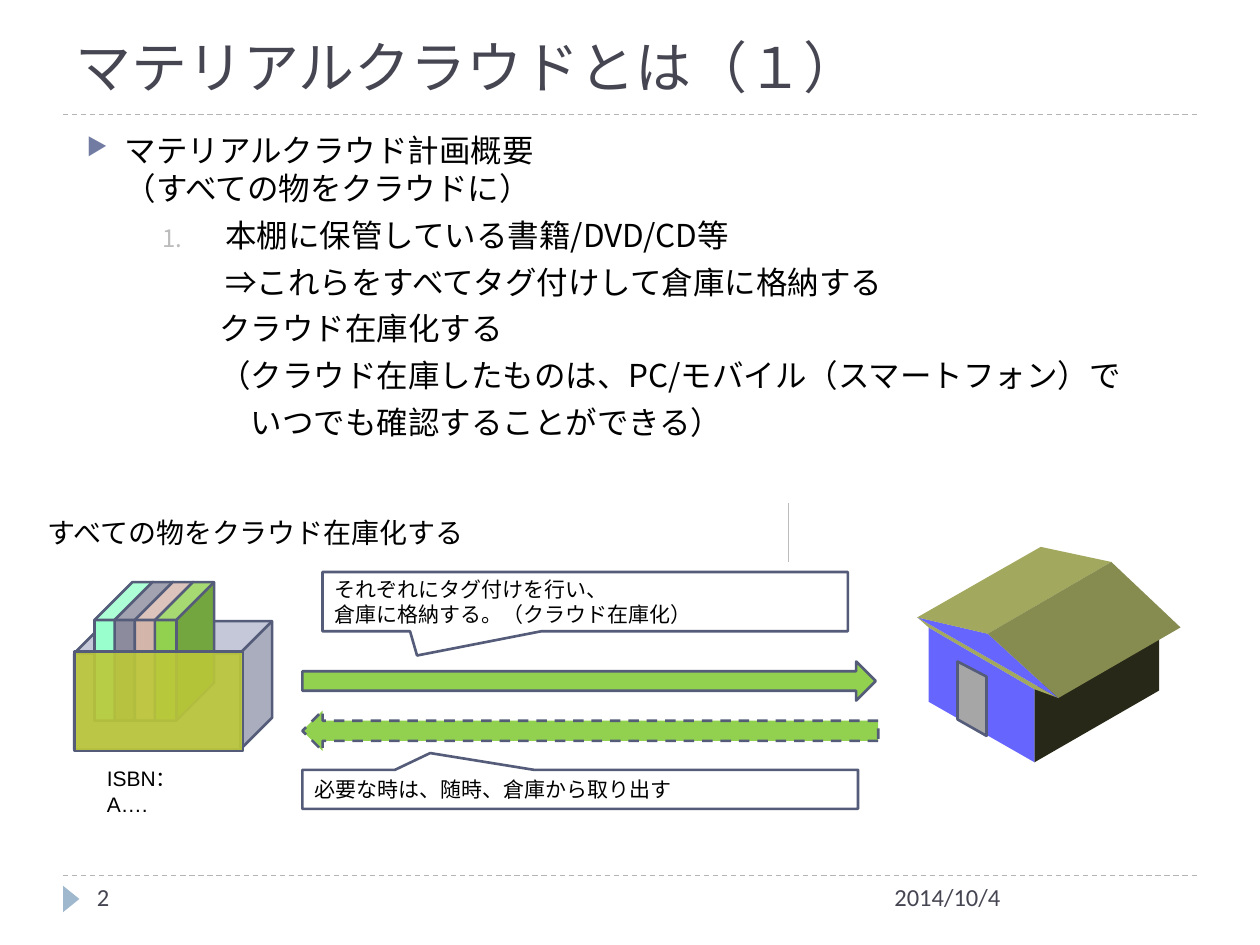
from lxml import etree
from pptx import Presentation
from pptx.dml.color import RGBColor
from pptx.enum.dml import MSO_LINE
from pptx.enum.shapes import MSO_CONNECTOR, MSO_SHAPE
from pptx.enum.text import MSO_ANCHOR, PP_ALIGN
from pptx.oxml.ns import qn
from pptx.util import Inches, Pt

RECT, CUBE, ARROW = MSO_SHAPE.RECTANGLE, MSO_SHAPE.CUBE, MSO_SHAPE.RIGHT_ARROW
CALLOUT, WEDGE = MSO_SHAPE.RECTANGULAR_CALLOUT, MSO_SHAPE.ISOSCELES_TRIANGLE
STRAIGHT, DASH = MSO_CONNECTOR.STRAIGHT, MSO_LINE.DASH
TOP, MIDDLE, BOTTOM = MSO_ANCHOR.TOP, MSO_ANCHOR.MIDDLE, MSO_ANCHOR.BOTTOM
LEFT = PP_ALIGN.LEFT

INK = RGBColor(0x46, 0x46, 0x53)
BLACK = RGBColor(0, 0, 0)
WHITE = RGBColor(255, 255, 255)
EDGE = RGBColor(0x54, 0x5C, 0x79)
RULE = RGBColor(0xB4, 0xB4, 0xB4)
SKY = RGBColor(0x9F, 0xB8, 0xCD)
SLATE = RGBColor(0x72, 0x7C, 0xA3)
PALE = RGBColor(0xBC, 0xBC, 0xBC)
GREEN = RGBColor(0x92, 0xD0, 0x50)
MINT = RGBColor(0x99, 0xFF, 0xCC)
GREY = RGBColor(0x8B, 0x8B, 0x9D)
ROSE = RGBColor(0xD4, 0xB5, 0xAA)
LIME = RGBColor(0xBC, 0xC8, 0x38)
BLUE = RGBColor(0x66, 0x66, 0xFF)
DARK = RGBColor(0x28, 0x28, 0x18)
STRAW = RGBColor(0xA2, 0xA8, 0x5E)
OLIVE = RGBColor(0x86, 0x8C, 0x50)
STEEL = RGBColor(0xA6, 0xA6, 0xA6)
NOTO = "Noto Sans CJK JP"


class Deck:
    def __init__(self, wide, high):
        self.prs = Presentation()
        self.prs.slide_width, self.prs.slide_height = Inches(wide), Inches(high)
        self.slide = self.prs.slides.add_slide(self.prs.slide_layouts[6])
        self.shapes = self.slide.shapes

    def paint(self, item, fill=None, alpha=100, edge=EDGE, dash=None):
        item.shadow.inherit = False
        if fill is None:
            item.fill.background()
        else:
            item.fill.solid()
            item.fill.fore_color.rgb = fill
        if alpha < 100:
            tone = item.fill._xPr.find(".//" + qn("a:srgbClr"))
            etree.SubElement(tone, qn("a:alpha"), val=str(alpha * 1000))
        if edge is None:
            item.line.fill.background()
            return
        item.line.color.rgb = edge
        item.line.width = Pt(1.5)
        if dash:
            item.line.dash_style = dash

    def shape(self, kind, box, adj=(), rot=0, **look):
        item = self.shapes.add_shape(kind, *map(Inches, box))
        for n, value in enumerate(adj):
            item.adjustments[n] = value
        item.rotation = rot
        self.paint(item, **look)
        return item

    def poly(self, points, **look):
        spots = [(Inches(x), Inches(y)) for x, y in points]
        form = self.shapes.build_freeform(*spots[0])
        form.add_line_segments(spots[1:], close=True)
        self.paint(form.convert_to_shape(), **look)

    def line(self, x1, y1, x2, y2, color, dash=None):
        item = self.shapes.add_connector(STRAIGHT, *map(Inches, (x1, y1, x2, y2)))
        item.line.color.rgb = color
        item.line.width = Pt(0.75)
        if dash:
            item.line.dash_style = dash
        etree.SubElement(item._element.spPr, qn("a:effectLst"))

    def label(self, item, lines, size, font="Calibri", color=BLACK, anchor=TOP):
        frame = item.text_frame
        frame.word_wrap = True
        frame.vertical_anchor = anchor
        frame.text = "\n".join(lines)
        for para in frame.paragraphs:
            para.alignment = LEFT
            for run in para.runs:
                run.font.color.rgb = color
                for key, value in {"name": font, "size": Pt(size)}.items():
                    setattr(run.font, key, value)
                east = etree.SubElement(run._r.get_or_add_rPr(), qn("a:ea"))
                east.set("typeface", font)
        return frame.paragraphs

    def text(self, box, lines, size, **look):
        item = self.shapes.add_textbox(*map(Inches, box))
        return self.label(item, lines, size, **look)

    def bullet(self, para, margin, hang=0, color=None, tag=None, value=None):
        props = para._p.get_or_add_pPr()
        props.set("marL", str(Inches(margin)))
        props.set("indent", str(Inches(-hang)))
        if tag is None:
            etree.SubElement(props, qn("a:buNone"))
            return
        tint = etree.SubElement(props, qn("a:buClr"))
        etree.SubElement(tint, qn("a:srgbClr"), val=str(color))
        etree.SubElement(props, qn("a:buSzPct"), val="76000")
        name = "char" if tag == "a:buChar" else "type"
        etree.SubElement(props, qn(tag), {name: value})


deck = Deck(10, 7.5)

# Rules, title and footer
for y in (0.91, 6.95):
    deck.line(0.5, y, 9.5, y, RULE, DASH)
deck.shape(WEDGE, (0.46, 7.07, 0.21, 0.13), rot=90, fill=SKY, edge=None)
deck.text((0.5, 0.17, 9, 0.67), ["マテリアルクラウドとは（１）"], 32,
          font=NOTO, color=INK, anchor=BOTTOM)
deck.text((7, 6.95, 2.5, 0.4), ["2014/10/4"], 14, color=INK)
deck.text((0.67, 6.95, 2.17, 0.4), ["2"], 14, color=INK)

# Outline: text, then margin, hang and bullet
body = [
    ("マテリアルクラウド計画概要\v（すべての物をクラウドに）",
     (0.3, 0.3, SLATE, "a:buChar", "▶")),
    ("本棚に保管している書籍/DVD/CD等",
     (1.1, 0.5, PALE, "a:buAutoNum", "arabicPeriod")),
    ("⇒これらをすべてタグ付けして倉庫に格納する", (1.1,)),
    ("クラウド在庫化する", (1.05,)),
    ("（クラウド在庫したものは、PC/モバイル（スマートフォン）で", (1.05,)),
    ("いつでも確認することができる）", (1.3,)),
]
paras = deck.text((0.59, 0.99, 9, 2.8), [words for words, _ in body], 18, font=NOTO)
for n, (para, (_, mark)) in enumerate(zip(paras, body)):
    form = {"line_spacing": Pt(21.7), "space_before": Pt(5 if n else 0)}
    for key, value in form.items():
        setattr(para, key, value)
    deck.bullet(para, *mark)

# Heading of the drawing
head = deck.shape(RECT, (0.28, 3.99, 5.98, 0.47), fill=WHITE, edge=None)
deck.label(head, ["すべての物をクラウド在庫化する"], 16, anchor=MIDDLE)
deck.line(6.26, 3.99, 6.26, 4.46, PALE)

# Box of books
deck.shape(CUBE, (0.59, 4.93, 1.57, 1.02), fill=SLATE, alpha=52)
for n, color in enumerate((MINT, GREY, ROSE, GREEN)):
    deck.shape(CUBE, (0.75 + n * 0.16, 4.62, 0.47, 1.1), adj=[0.64], fill=color)
deck.shape(RECT, (0.59, 5.17, 1.34, 0.79), fill=LIME, alpha=90)
deck.text((0.75, 6.03, 1.01, 0.51), ["ISBN：\vA…."], 12, font="Arial")

# Arrows to and from the store
deck.shape(ARROW, (2.4, 5.25, 4.55, 0.31), fill=GREEN)
deck.shape(ARROW, (2.4, 5.64, 4.57, 0.32), rot=180, fill=GREEN, dash=DASH)

# Callouts
notes = [
    ((2.56, 4.54, 4.17, 0.47), (-0.32, 0.91),
     ["それぞれにタグ付けを行い、", "倉庫に格納する。（クラウド在庫化）"]),
    ((2.4, 6.11, 4.41, 0.31), (-0.27, -0.93),
     ["必要な時は、随時、倉庫から取り出す"]),
]
for box, tip, lines in notes:
    note = deck.shape(CALLOUT, box, adj=tip)
    deck.label(note, lines, 12, anchor=MIDDLE)

# Store house
eave, peak, foot = (7.28, 4.9), (7.84, 5.03), (8.4, 5.54)
back, ridge, far = (8.26, 4.34), (8.82, 4.46), (9.37, 4.98)
house = [
    (DARK, [(8.21, 5.46), (9.2, 4.9), (9.2, 5.48), (8.21, 6.05)]),
    (BLUE, [(7.37, 4.98), (8.21, 5.47), (8.21, 6.05), (7.37, 5.57)]),
    (STRAW, [eave, foot, (8.21, 5.47), (7.37, 4.98)]),
    (BLUE, [eave, peak, foot]),
    (STRAW, [eave, back, ridge, peak]),
    (OLIVE, [peak, ridge, far, foot]),
]
for color, points in house:
    deck.poly(points, fill=color, edge=None)
deck.poly([(7.6, 5.25), (7.83, 5.37), (7.83, 5.84), (7.6, 5.71)], fill=STEEL)

deck.prs.save("out.pptx")
